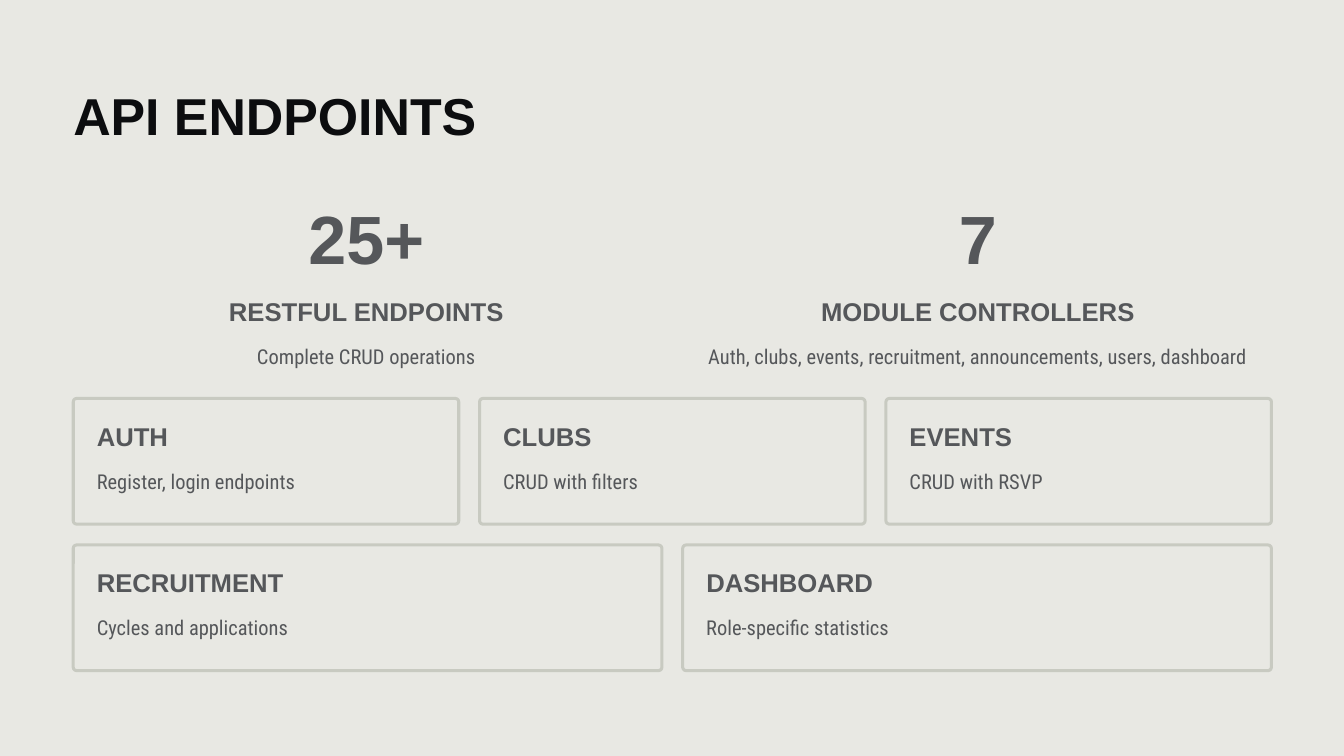
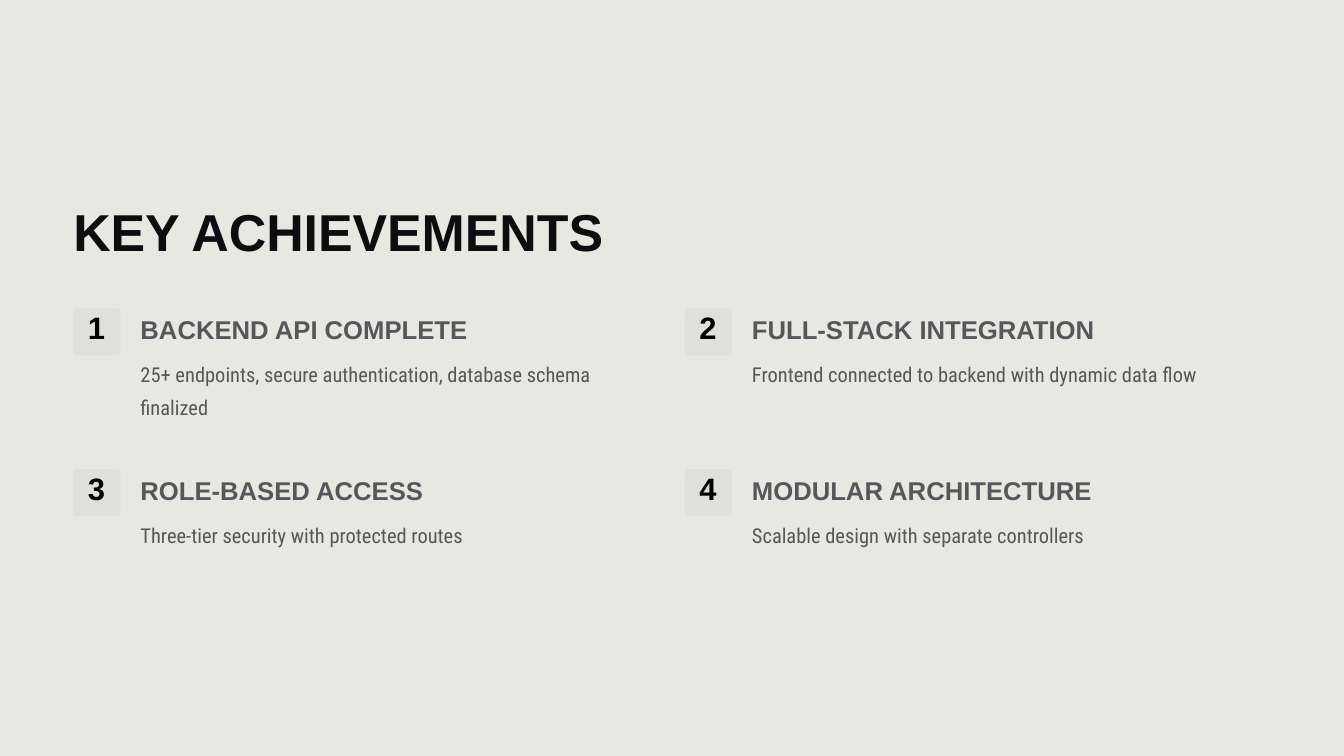
from pptx import Presentation
from pptx.dml.color import RGBColor
from pptx.enum.shapes import MSO_SHAPE
from pptx.enum.text import MSO_AUTO_SIZE, PP_ALIGN
from pptx.oxml.ns import qn
from pptx.util import Inches, Pt
from lxml.etree import SubElement

PAPER, INK, GREY, RULE, BLACK = "E8E8E3", "0C0D0F", "55575A", "C8CAC1", "000000"
LEFT, WIDTH, GAP = 1.09, 17.83, 0.31
COLUMN_STEP, COLUMN_W = 9.1, 8.72

# role: font, size, line spacing, bold, colour
STYLES = {
    "title": ("Arial", 55.6, 69.4, True, INK),
    "figure": ("Arial", 73.1, 73.1, True, GREY),
    "number": ("Arial", 33.1, 33.1, True, BLACK),
    "heading": ("Arial", 27.5, 34.4, True, GREY),
    "body": ("Roboto Condensed", 21.9, 35.6, False, GREY),
}


def rgb(value):
    return RGBColor.from_string(value)


class Deck:
    """Holds the shared style and the current slide."""

    def __init__(self):
        self.prs = Presentation()
        self.prs.slide_width = Inches(20)
        self.prs.slide_height = Inches(11.25)
        self.s = None

    def slide(self, title, y, w):
        self.s = self.prs.slides.add_slide(self.prs.slide_layouts[6])
        fill = self.s.background.fill
        fill.solid()
        fill.fore_color.rgb = rgb(PAPER)
        self.text(title, "title", LEFT, y, w, 1.03)

    def text(self, text, role, x, y, w, h, align=PP_ALIGN.LEFT):
        font, size, spacing, bold, color = STYLES[role]
        tf = self.s.shapes.add_textbox(Inches(x), Inches(y), Inches(w), Inches(h)).text_frame
        tf.margin_left = tf.margin_right = tf.margin_top = tf.margin_bottom = 0
        tf.word_wrap = True
        tf.auto_size = MSO_AUTO_SIZE.SHAPE_TO_FIT_TEXT
        tf.text = text
        p = tf.paragraphs[0]
        p.alignment = align
        p.line_spacing = Pt(spacing)
        f = p.runs[0].font
        f.name, f.size, f.bold = font, Pt(size), bold
        f.color.rgb = rgb(color)

    def box(self, x, y, w, h, fill, line=None, opacity=100):
        sp = self.s.shapes.add_shape(MSO_SHAPE.ROUNDED_RECTANGLE,
                                     Inches(x), Inches(y), Inches(w), Inches(h))
        sp.shadow.inherit = False
        sp.adjustments[0] = 0.05 / min(w, h)
        sp.fill.solid()
        sp.fill.fore_color.rgb = rgb(fill)
        if opacity < 100:
            color = sp.fill._xPr.find(qn("a:solidFill"))[0]
            SubElement(color, qn("a:alpha")).set("val", str(opacity * 1000))
        if line:
            sp.line.color.rgb = rgb(line)
            sp.line.width = Pt(3.25)
        else:
            sp.line.fill.background()

    def stat(self, x, value, heading, heading_w, body):
        center = PP_ALIGN.CENTER
        self.text(value, "figure", x, 3.12, COLUMN_W, 0.91, center)
        self.text(heading, "heading", x + (COLUMN_W - heading_w) / 2, 4.38, heading_w, 0.53, center)
        self.text(body, "body", x, 4.99, COLUMN_W, 0.6, center)

    def entry(self, x, y, heading, heading_w, body, body_w, body_h=0.6):
        self.text(heading, "heading", x, y, heading_w, 0.53)
        self.text(body, "body", x, y + 0.61, body_w, body_h)

    def card_row(self, y, cards):
        w = (WIDTH - GAP * (len(cards) - 1)) / len(cards)
        for i, (heading, body) in enumerate(cards):
            x = LEFT + i * (w + GAP)
            self.box(x, y, w, 1.87, PAPER, RULE)
            self.entry(x + 0.35, y + 0.31, heading, 3.88, body, w - 0.7)

    def achievement(self, x, y, number, heading, heading_w, body, body_h):
        self.box(x, y, 0.7, 0.7, RULE, opacity=25)
        self.text(str(number), "number", x + 0.11, y + 0.1, 0.47, 0.54, PP_ALIGN.CENTER)
        self.entry(x + 1, y + 0.06, heading, heading_w, body, 7.71, body_h)


def main():
    deck = Deck()

    deck.slide("API ENDPOINTS", 1.2, 7.75)
    stats = [
        ("25+", "RESTFUL ENDPOINTS", 4.44, "Complete CRUD operations"),
        ("7", "MODULE CONTROLLERS", 4.9,
         "Auth, clubs, events, recruitment, announcements, users, dashboard"),
    ]
    for i, stat in enumerate(stats):
        deck.stat(LEFT + i * COLUMN_STEP, *stat)
    card_rows = [
        [("AUTH", "Register, login endpoints"),
         ("CLUBS", "CRUD with filters"),
         ("EVENTS", "CRUD with RSVP")],
        [("RECRUITMENT", "Cycles and applications"),
         ("DASHBOARD", "Role-specific statistics")],
    ]
    for i, cards in enumerate(card_rows):
        deck.card_row(5.93 + i * 2.18, cards)

    deck.slide("KEY ACHIEVEMENTS", 2.94, 8.71)
    achievements = [
        ("BACKEND API COMPLETE", 5.25,
         "25+ endpoints, secure authentication, database schema finalized", 1.1),
        ("FULL-STACK INTEGRATION", 5.64,
         "Frontend connected to backend with dynamic data flow", 0.6),
        ("ROLE-BASED ACCESS", 4.37, "Three-tier security with protected routes", 0.6),
        ("MODULAR ARCHITECTURE", 5.55, "Scalable design with separate controllers", 0.6),
    ]
    for i, achievement in enumerate(achievements):
        row, column = divmod(i, 2)
        deck.achievement(LEFT + column * COLUMN_STEP, 4.59 + row * 2.39, i + 1, *achievement)

    deck.prs.save("out.pptx")


if __name__ == "__main__":
    main()
